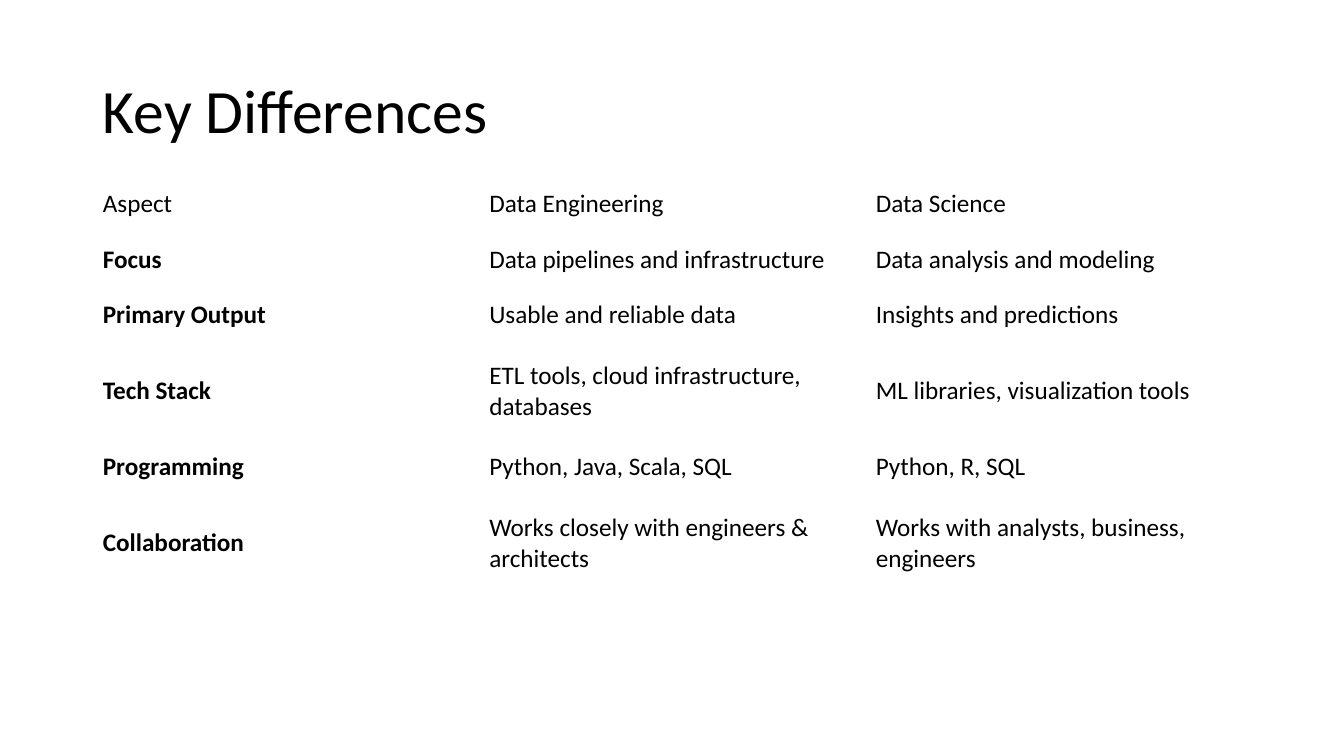
import pptx
import pptx.util
import pptx.dml.color
import pptx.enum.text

COLORS = {"text": "000000", "background": "FFFFFF"}
ASPECTS = [
    ("Aspect", "Data Engineering", "Data Science"),
    ("Focus", "Data pipelines and infrastructure", "Data analysis and modeling"),
    ("Primary Output", "Usable and reliable data", "Insights and predictions"),
    ("Tech Stack", "ETL tools, cloud infrastructure, databases",
     "ML libraries, visualization tools"),
    ("Programming", "Python, Java, Scala, SQL", "Python, R, SQL"),
    ("Collaboration", "Works closely with engineers & architects",
     "Works with analysts, business, engineers"),
]
ROW_HEIGHTS = [0.55, 0.55, 0.55, 0.96, 0.55, 0.96]


class ComparisonSlide:
    font = "Calibri"
    columns = 3
    left, width = 0.92, 11.5

    def __init__(self, deck):
        self.slide = deck.slides.add_slide(deck.slide_layouts[5])
        backdrop = self.slide.background.fill
        backdrop.solid()
        backdrop.fore_color.rgb = self.color("background")

    def color(self, role):
        return pptx.dml.color.RGBColor.from_string(COLORS[role])

    def box(self, top, height):
        inches = (self.left, top, self.width, height)
        return [pptx.util.Inches(length) for length in inches]

    def wording(self, frame, words, size, bold=False):
        paragraph = frame.paragraphs[0]
        paragraph.alignment = pptx.enum.text.PP_ALIGN.LEFT
        run = paragraph.add_run()
        run.text = words
        style = {"name": self.font, "size": pptx.util.Pt(size), "bold": bold}
        for attribute, value in style.items():
            setattr(run.font, attribute, value)
        run.font.color.rgb = self.color("text")
        return paragraph

    def title(self, words, top, height):
        heading = self.slide.shapes.title
        places = zip(("left", "top", "width", "height"), self.box(top, height))
        for attribute, value in places:
            setattr(heading, attribute, value)
        frame = heading.text_frame
        frame.word_wrap = True
        frame.vertical_anchor = pptx.enum.text.MSO_ANCHOR.MIDDLE
        self.wording(frame, words, 44).line_spacing = 0.9

    def table(self, aspects, top, heights):
        comparison = self.slide.shapes.add_table(
            len(aspects), self.columns, *self.box(top, sum(heights))).table
        for flag, value in {"first_row": False, "horz_banding": False}.items():
            setattr(comparison, flag, value)
        for column in comparison.columns:
            column.width = pptx.util.Inches(self.width / self.columns)
        for row, height in zip(comparison.rows, heights):
            row.height = pptx.util.Inches(height)
        for row_index, aspect in enumerate(aspects):
            for column_index, words in enumerate(aspect):
                cell = comparison.cell(row_index, column_index)
                cell.fill.background()
                cell.vertical_anchor = pptx.enum.text.MSO_ANCHOR.MIDDLE
                bold = row_index > 0 and column_index == 0
                self.wording(cell.text_frame, words, 18, bold)


def main():
    deck = pptx.Presentation()
    deck.slide_width = pptx.util.Inches(13.33)
    deck.slide_height = pptx.util.Inches(7.5)
    differences = ComparisonSlide(deck)
    differences.table(ASPECTS, 1.75, ROW_HEIGHTS)
    differences.title("Key Differences", 0.4, 1.45)
    deck.save("out.pptx")


if __name__ == "__main__":
    main()
